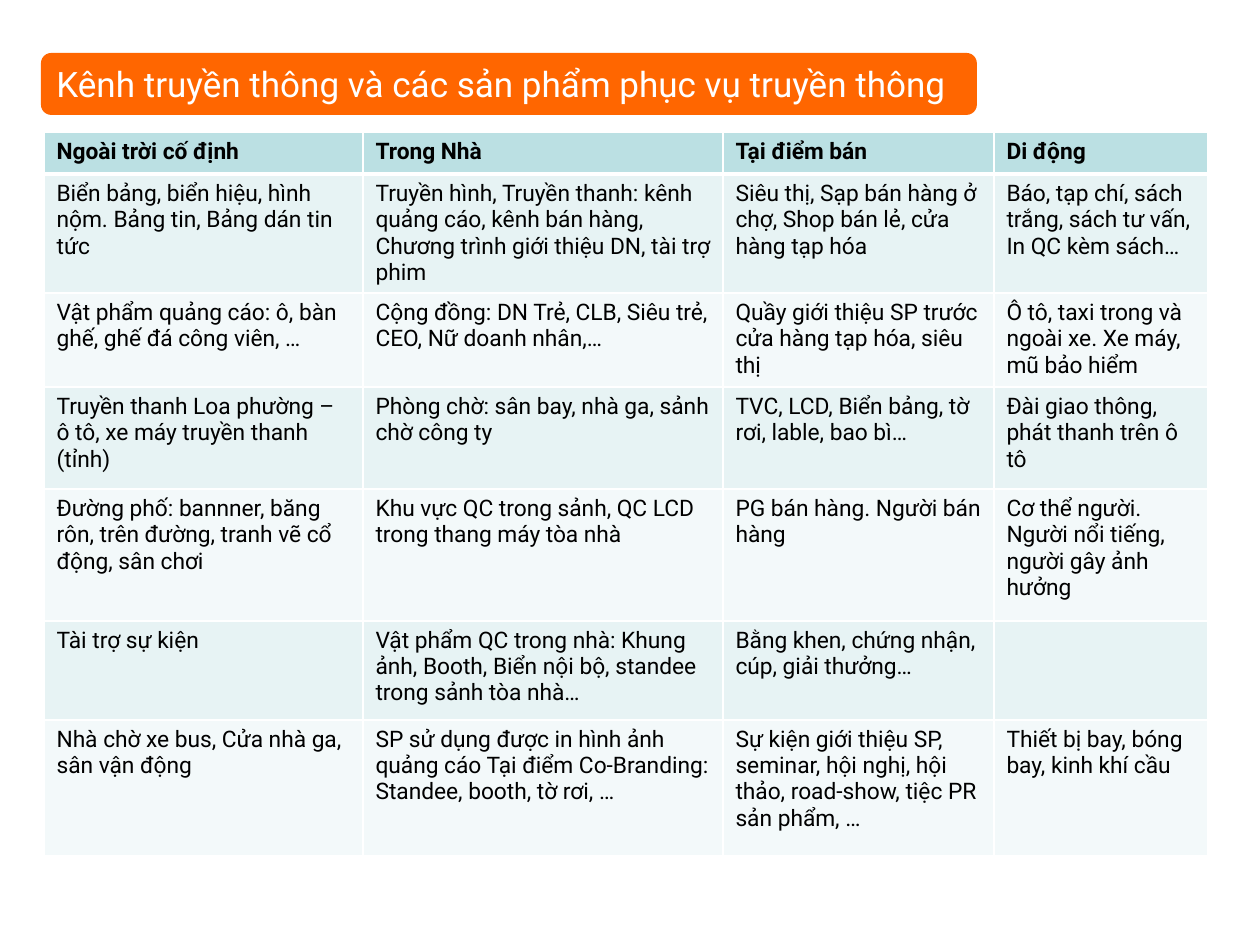
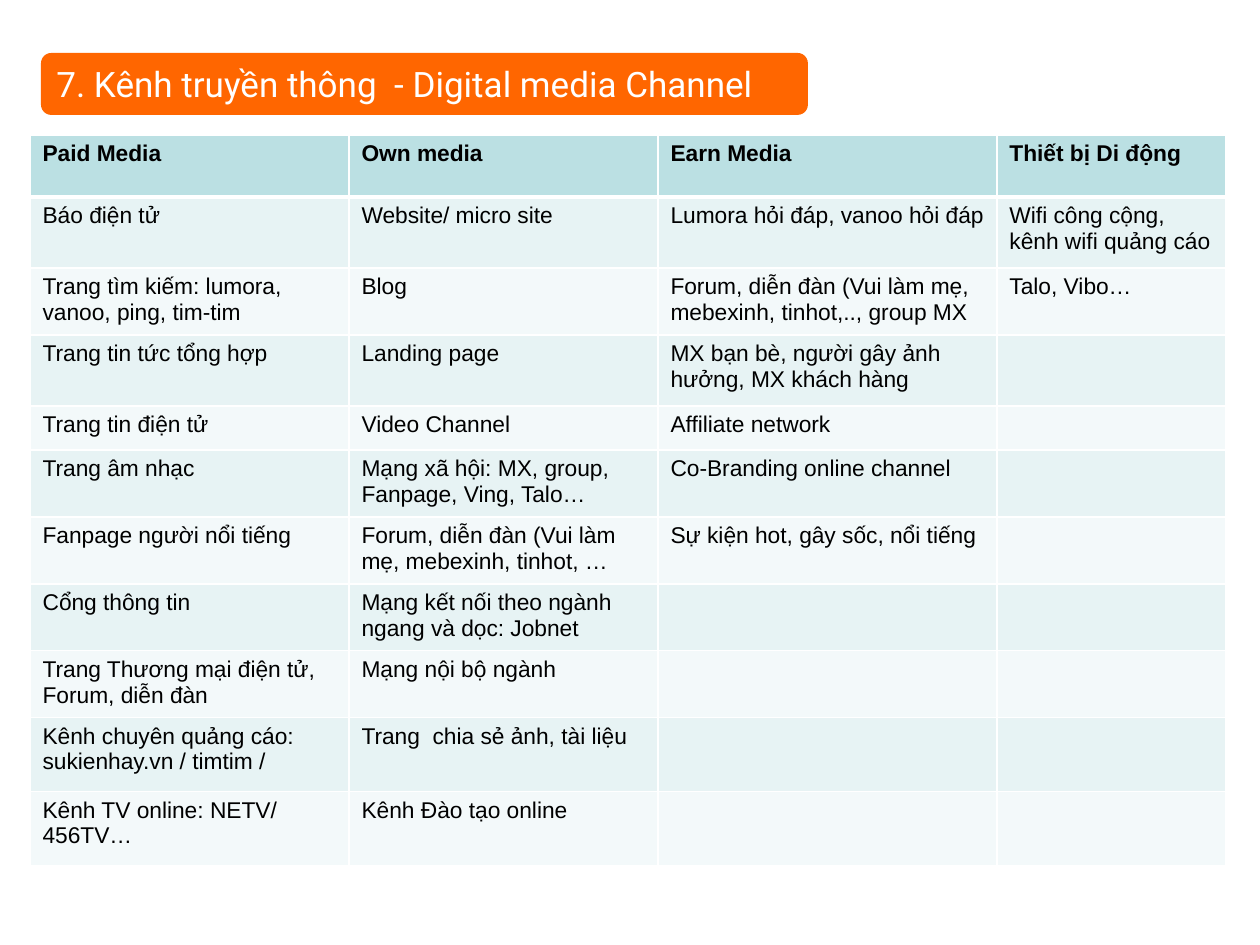
from lxml import etree
from pptx import Presentation
from pptx.dml.color import RGBColor
from pptx.enum import shapes, text
from pptx.oxml import ns
from pptx.util import Emu, Pt

PX = 914400 // 126
ORANGE = RGBColor(0xFF, 0x66, 0x00)
WHITE = RGBColor(0xFF, 0xFF, 0xFF)
BLACK = RGBColor(0x00, 0x00, 0x00)
HEADER_TEAL = RGBColor(0xBB, 0xE0, 0xE3)
BANDS = (RGBColor(0xE7, 0xF3, 0xF4), RGBColor(0xF3, 0xF9, 0xFA))
TITLE_FONT = "Roboto"

MEDIA_COLUMNS = (319, 360, 271, 214)
MEDIA_HEIGHTS = (42, 119, 94, 102, 132, 99, 136)
MEDIA_ROWS = (
    ("Ngoài trời cố định", "Trong Nhà", "Tại điểm bán", "Di động"),
    ("Biển bảng, biển hiệu, hình nộm. Bảng tin, Bảng dán tin tức",
     "Truyền hình, Truyền thanh: kênh quảng cáo, kênh bán hàng, "
     "Chương trình giới thiệu DN, tài trợ phim",
     "Siêu thị, Sạp bán hàng ở chợ, Shop bán lẻ, cửa hàng tạp hóa",
     "Báo, tạp chí, sách trắng, sách tư vấn, In QC kèm sách…"),
    ("Vật phẩm quảng cáo: ô, bàn ghế, ghế đá công viên, …",
     "Cộng đồng: DN Trẻ, CLB, Siêu trẻ, CEO, Nữ doanh nhân,…",
     "Quầy giới thiệu SP trước cửa hàng tạp hóa, siêu thị",
     "Ô tô, taxi trong và ngoài xe. Xe máy, mũ bảo hiểm"),
    ("Truyền thanh Loa phường – ô tô, xe máy truyền thanh (tỉnh)",
     "Phòng chờ: sân bay, nhà ga, sảnh chờ công ty",
     "TVC, LCD, Biển bảng, tờ rơi, lable, bao bì…",
     "Đài giao thông, phát thanh trên ô tô"),
    ("Đường phố: bannner, băng rôn, trên đường, tranh vẽ cổ động, sân chơi",
     "Khu vực QC trong sảnh, QC LCD trong thang máy tòa nhà",
     "PG bán hàng. Người bán hàng",
     "Cơ thể người. Người nổi tiếng, người gây ảnh hưởng"),
    ("Tài trợ sự kiện",
     "Vật phẩm QC trong nhà: Khung ảnh, Booth, Biển nội bộ, "
     "standee trong sảnh tòa nhà…",
     "Bằng khen, chứng nhận, cúp, giải thưởng…", ""),
    ("Nhà chờ xe bus, Cửa nhà ga, sân vận động",
     "SP sử dụng được in hình ảnh quảng cáo Tại điểm Co-Branding: "
     "Standee, booth, tờ rơi, …",
     "Sự kiện giới thiệu SP, seminar, hội nghị, hội thảo, road-show, "
     "tiệc PR sản phẩm, …",
     "Thiết bị bay, bóng bay, kinh khí cầu"),
)

DIGITAL_COLUMNS = (319, 309, 339, 229)
DIGITAL_HEIGHTS = (62, 71, 67, 71, 44, 67, 67, 67, 67, 74, 74)
DIGITAL_ROWS = (
    ("Paid Media", "Own media", "Earn Media", "Thiết bị Di động"),
    ("Báo điện tử", "Website/ micro site", "Lumora hỏi đáp, vanoo hỏi đáp",
     "Wifi công cộng, kênh wifi quảng cáo"),
    ("Trang tìm kiếm: lumora, vanoo, ping, tim-tim", "Blog",
     "Forum, diễn đàn (Vui làm mẹ, mebexinh, tinhot,.., group MX",
     "Talo, Vibo…"),
    ("Trang tin tức tổng hợp", "Landing page",
     "MX bạn bè, người gây ảnh hưởng, MX khách hàng", ""),
    ("Trang tin điện tử", "Video Channel", "Affiliate network", ""),
    ("Trang âm nhạc", "Mạng xã hội: MX, group, Fanpage, Ving, Talo…",
     "Co-Branding online channel", ""),
    ("Fanpage người nổi tiếng",
     "Forum, diễn đàn (Vui làm mẹ, mebexinh, tinhot, …",
     "Sự kiện hot, gây sốc, nổi tiếng", ""),
    ("Cổng thông tin", "Mạng kết nối theo ngành ngang và dọc: Jobnet", "", ""),
    ("Trang Thương mại điện tử, Forum, diễn đàn", "Mạng nội bộ ngành", "", ""),
    ("Kênh chuyên quảng cáo: sukienhay.vn / timtim /",
     "Trang  chia sẻ ảnh, tài liệu", "", ""),
    ("Kênh TV online: NETV/ 456TV…", "Kênh Đào tạo online", "", ""),
)


def px(length):
    return Emu(length * PX)


def write(frame, words, *, font, size, color, bold=False):
    paragraph = frame.paragraphs[0]
    paragraph.alignment = text.PP_ALIGN.LEFT
    if not words:
        # An empty cell still takes its row height from the end mark.
        end_mark = etree.SubElement(paragraph._p, ns.qn("a:endParaRPr"))
        end_mark.set("sz", str(size * 100))
        return
    run = paragraph.add_run()
    run.text = words
    run.font.name = font
    run.font.size = Pt(size)
    run.font.bold = bold
    run.font.color.rgb = color


def add_title(slide, words, width):
    band = slide.shapes.add_shape(shapes.MSO_SHAPE.ROUNDED_RECTANGLE,
                                  px(41), px(53), px(width), px(62))
    band.shadow.inherit = False
    band.fill.solid()
    band.fill.fore_color.rgb = ORANGE
    band.line.fill.background()
    band.text_frame.word_wrap = True
    band.text_frame.vertical_anchor = text.MSO_ANCHOR.MIDDLE
    write(band.text_frame, words, font=TITLE_FONT, size=20, color=WHITE)


def set_borders(cell, top, bottom):
    """Draw white cell edges; top and bottom are widths in points."""
    properties = cell._tc.get_or_add_tcPr()
    for side, width in (("L", 1), ("R", 1), ("T", top), ("B", bottom)):
        edge = etree.SubElement(properties, ns.qn(f"a:ln{side}"), w=str(Pt(width)))
        fill = etree.SubElement(edge, ns.qn("a:solidFill"))
        etree.SubElement(fill, ns.qn("a:srgbClr"), val=str(WHITE))


def add_channel_table(slide, left, top, columns, heights, rows, font):
    table = slide.shapes.add_table(len(rows), len(columns), px(left), px(top),
                                   px(sum(columns)), px(sum(heights))).table
    for column, width in zip(table.columns, columns):
        column.width = px(width)
    for row, height in zip(table.rows, heights):
        row.height = px(height)
    for r, entries in enumerate(rows):
        is_header = r == 0
        for c, words in enumerate(entries):
            cell = table.cell(r, c)
            set_borders(cell, top=3 if r == 1 else 1, bottom=3 if is_header else 1)
            cell.fill.solid()
            cell.fill.fore_color.rgb = HEADER_TEAL if is_header else BANDS[(r - 1) % 2]
            write(cell.text_frame, words, font=font, size=13, color=BLACK,
                  bold=is_header)


def main():
    deck = Presentation()
    deck.slide_width, deck.slide_height = px(1260), px(945)
    blank = deck.slide_layouts[6]

    media = deck.slides.add_slide(blank)
    add_channel_table(media, 44, 132, MEDIA_COLUMNS, MEDIA_HEIGHTS, MEDIA_ROWS, "Roboto")
    add_title(media, "Kênh truyền thông và các sản phẩm phục vụ truyền thông", 936)

    digital = deck.slides.add_slide(blank)
    add_channel_table(digital, 30, 135, DIGITAL_COLUMNS, DIGITAL_HEIGHTS,
                      DIGITAL_ROWS, "Arial")
    add_title(digital, "7. Kênh truyền thông  - Digital media Channel", 767)

    deck.save("out.pptx")


if __name__ == "__main__":
    main()
